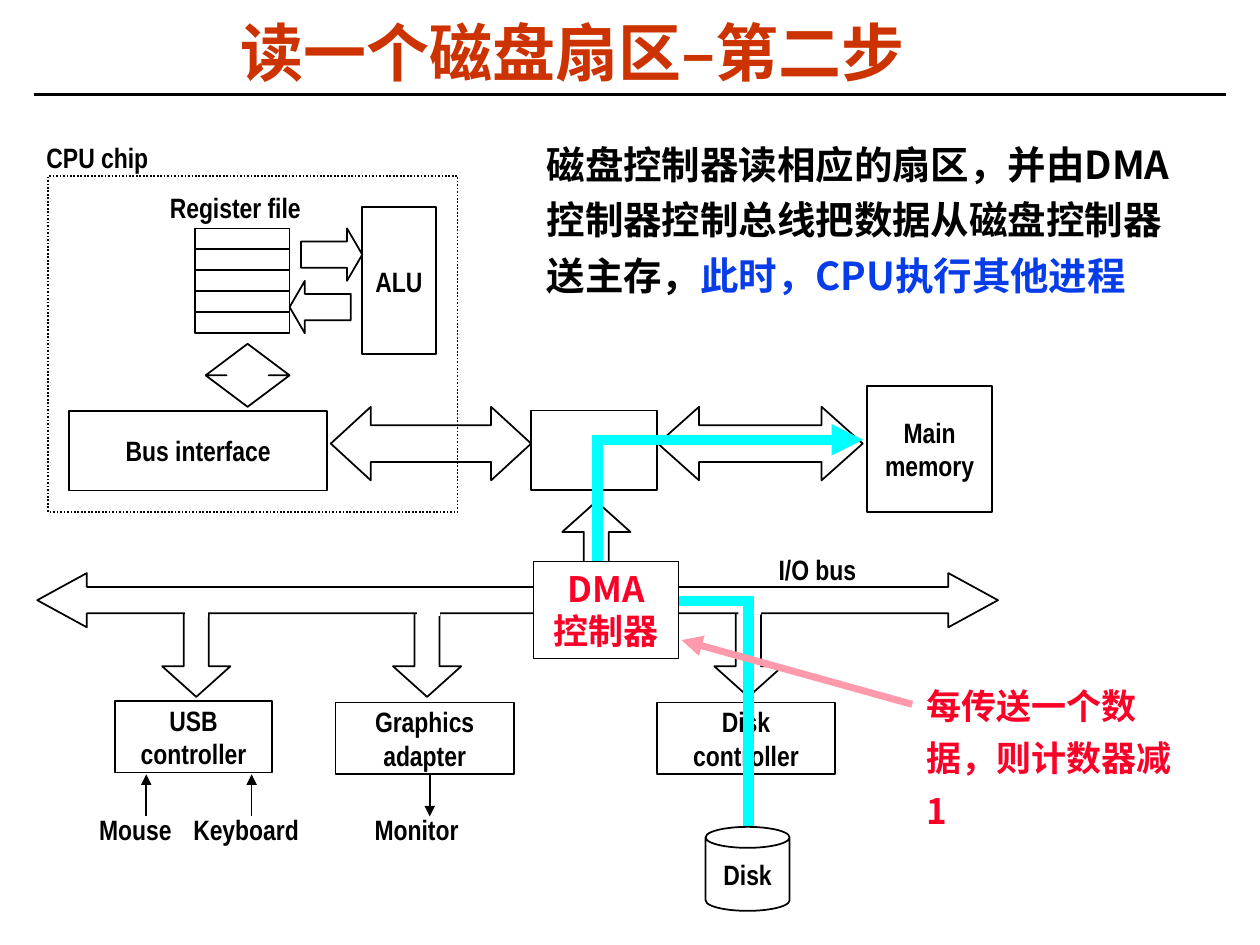
from pptx import Presentation
from pptx.dml.color import RGBColor
from pptx.enum.dml import MSO_LINE
from pptx.enum.shapes import MSO_CONNECTOR, MSO_SHAPE
from pptx.enum.text import MSO_ANCHOR, MSO_AUTO_SIZE, PP_ALIGN
from pptx.oxml.ns import qn
from pptx.util import Pt
from lxml import etree

RECT, CAN = MSO_SHAPE.RECTANGLE, MSO_SHAPE.CAN
LEFT_RIGHT, UP_DOWN = MSO_SHAPE.LEFT_RIGHT_ARROW, MSO_SHAPE.UP_DOWN_ARROW
RIGHT_ARROW, LEFT_ARROW = MSO_SHAPE.RIGHT_ARROW, MSO_SHAPE.LEFT_ARROW
UP_ARROW, DOWN_ARROW = MSO_SHAPE.UP_ARROW, MSO_SHAPE.DOWN_ARROW
STRAIGHT, DOTTED = MSO_CONNECTOR.STRAIGHT, MSO_LINE.ROUND_DOT
LEFT, CENTER = PP_ALIGN.LEFT, PP_ALIGN.CENTER
TOP, MIDDLE = MSO_ANCHOR.TOP, MSO_ANCHOR.MIDDLE
GROW, FIXED = MSO_AUTO_SIZE.SHAPE_TO_FIT_TEXT, MSO_AUTO_SIZE.NONE

LATIN, CJK = "Arial Narrow", "Noto Sans CJK SC"
BLACK, WHITE, CYAN = "000000", "FFFFFF", "00FFFF"
RED, BLUE, PINK, TITLE_RED = "FC0128", "063DE8", "FE9AAB", "CC3300"


def rgb(value):
    return RGBColor.from_string(value)


def set_text(s, paragraphs, size=16, font=LATIN, color=BLACK, align=CENTER,
             spacing=None, margins=(7.2, 3.6), **frame):
    """Each paragraph is a string or a list of (text, colour) runs."""
    tf = s.text_frame
    x, y = (Pt(m) for m in margins)
    settings = dict(margin_left=x, margin_right=x, margin_top=y, margin_bottom=y,
                    vertical_anchor=MIDDLE, word_wrap=False, auto_size=FIXED)
    for name, value in (settings | frame).items():
        setattr(tf, name, value)
    for i, runs in enumerate(paragraphs):
        p = tf.add_paragraph() if i else tf.paragraphs[0]
        p.alignment, p.space_before = align, Pt(0)
        p._p.get_or_add_pPr().set("hangingPunct", "0")
        if spacing:
            p.line_spacing = spacing
        for text, run_color in [(runs, color)] if isinstance(runs, str) else runs:
            r = p.add_run()
            r.text = text
            for name, value in dict(size=Pt(size), name=font, bold=True).items():
                setattr(r.font, name, value)
            r.font.color.rgb = rgb(run_color)
            if font == CJK:
                ea = etree.SubElement(r._r.get_or_add_rPr(), qn("a:ea"))
                ea.set("typeface", font)


def add_shape(slide, kind, box, adj=(), fill=None, line=1):
    s = slide.shapes.add_shape(kind, *map(Pt, box))
    s.shadow.inherit = False
    for i, value in enumerate(adj):
        s.adjustments[i] = value
    if fill:
        s.fill.solid()
        s.fill.fore_color.rgb = rgb(fill)
    else:
        s.fill.background()
    if line:
        s.line.color.rgb = rgb(BLACK)
        s.line.width = Pt(line)
    else:
        s.line.fill.background()
    return s


def add_box(slide, box, *lines, kind=RECT):
    s = add_shape(slide, kind, box)
    set_text(s, lines)
    return s


def add_label(slide, box, paragraphs, **fmt):
    s = slide.shapes.add_textbox(*map(Pt, box))
    set_text(s, paragraphs, auto_size=GROW, **fmt)


def add_line(slide, start, end, color=BLACK, width=1, arrow=False):
    s = slide.shapes.add_connector(STRAIGHT, *map(Pt, start + end))
    s.line.color.rgb = rgb(color)
    s.line.width = Pt(width)
    if arrow:
        etree.SubElement(s.line._get_or_add_ln(), qn("a:tailEnd")).set("type", "triangle")
    etree.SubElement(s._element.spPr, qn("a:effectLst"))


def add_title(slide):
    add_line(slide, (19.4, 54), (700.6, 54), width=1.5)
    s = slide.shapes.title
    s.left, s.top, s.width, s.height = map(Pt, (28.4, 10.4, 597.6, 44.6))
    set_text(s, ["读一个磁盘扇区–第二步"], size=36, font=CJK, color=TITLE_RED,
             spacing=0.87, margins=(0, 0), word_wrap=True)


def add_cpu_and_memory(slide):
    # Memory side and the bus bridge
    add_box(slide, (495.5, 220.5, 71.5, 72), "Main", "memory")
    add_shape(slide, LEFT_RIGHT, (376, 232.5, 117, 42), (0.5, 0.559))
    add_shape(slide, RECT, (303.5, 234.5, 72, 45.5))
    add_shape(slide, LEFT_RIGHT, (189, 232.5, 114.5, 42), (0.5, 0.544))
    # Register file and ALU
    for row in range(5):
        add_shape(slide, RECT, (111.5, 130.5 + 12 * row, 54, 12))
    add_shape(slide, RIGHT_ARROW, (172, 130.5, 35, 30), (0.5, 0.291))
    add_shape(slide, LEFT_ARROW, (165.5, 160.5, 35, 30), (0.5, 0.291))
    add_box(slide, (207, 118.5, 42, 84), "ALU")
    add_label(slide, (88, 105, 93, 26.5), ["Register file"])
    # This preset lists its head length before its shaft width
    add_shape(slide, UP_DOWN, (117.5, 196.5, 48, 36), (0.199, 0.5))
    # Chip outline
    chip = add_shape(slide, RECT, (27.5, 100.5, 234, 192))
    chip.line.dash_style = DOTTED
    add_label(slide, (19.5, 76.5, 78, 26.5), ["CPU chip"], align=LEFT)


def add_devices(slide):
    # Bus arrows and controllers
    branch = (0.367, 0.448)
    add_shape(slide, UP_ARROW, (321.3, 286.5, 39, 54), branch)
    for x, box, lines in (
            (408.2, (375.3, 401.5, 102, 41), ("Disk", "controller")),
            (224.6, (191.7, 401.5, 102, 41), ("Graphics", "adapter")),
            (92.7, (65.6, 400.5, 90, 41), ("USB", "controller"))):
        add_shape(slide, DOWN_ARROW, (x, 344.2, 39, 54), branch)
        add_box(slide, box, *lines)
    # Peripherals
    for x in (83.6, 143.8):
        add_line(slide, (x, 466.5), (x, 442.5), arrow=True)
    add_line(slide, (245.6, 442.5), (245.6, 466.5), arrow=True)
    for center, width, name in ((77.4, 66, "Mouse"), (140.6, 82, "Keyboard"),
                                (238, 74, "Monitor")):
        add_label(slide, (center - width / 2, 460.8, width, 26.5), [name])
    add_box(slide, (403.2, 472.5, 48, 48), "Disk", kind=CAN)
    # I/O bus, with white patches that open it into each branch
    add_shape(slide, LEFT_RIGHT, (21.3, 327.5, 549, 31), (0.486, 0.915), WHITE)
    for x, y in ((105.8, 340.6), (238.3, 340), (421.9, 339.2)):
        add_shape(slide, RECT, (x, y, 13, 12), fill=WHITE, line=None)
    add_label(slide, (437.8, 312, 70, 26.5), ["I/O bus"], align=LEFT)


def add_dma_transfer(slide):
    # Data route from disk to memory
    for start, end, arrow in (((338.4, 251.3), (493.2, 251.3), True),
                              ((341.3, 251.3), (341.3, 340.6), False),
                              ((338.4, 343.4), (427, 343.4), False),
                              ((427.7, 340.6), (427.7, 472.3), False)):
        add_line(slide, start, end, CYAN, 6, arrow)
    add_box(slide, (39.5, 234.8, 147.5, 45.5), "Bus interface")
    # Explanation
    add_label(slide, (305.3, 71.6, 386, 102.2), [[
        ("磁盘控制器读相应的扇区，并由DMA控制器控制总线把数据从磁盘控制器送主存，", BLACK),
        ("此时，CPU执行其他进程", BLUE)]],
        size=22, font=CJK, align=LEFT, spacing=1.2, vertical_anchor=TOP, word_wrap=True)
    # DMA controller and its counter note
    dma = add_shape(slide, RECT, (305, 321, 82.5, 55.4), fill=WHITE, line=0.5)
    red = dict(size=20, font=CJK, color=RED, vertical_anchor=TOP, word_wrap=True)
    set_text(dma, ["DMA", "控制器"], auto_size=GROW, **red)
    add_label(slide, (522.3, 381.6, 155.5, 97.2), ["每传送一个数据，则计数器减1"],
              align=LEFT, spacing=1.25, **red)
    add_line(slide, (521.3, 402.5), (389.5, 365.8), PINK, 4, True)


def main():
    prs = Presentation()
    prs.slide_width, prs.slide_height = Pt(720), Pt(540)
    slide = prs.slides.add_slide(prs.slide_layouts[5])
    add_title(slide)
    add_cpu_and_memory(slide)
    add_devices(slide)
    add_dma_transfer(slide)
    prs.save("out.pptx")


if __name__ == "__main__":
    main()
